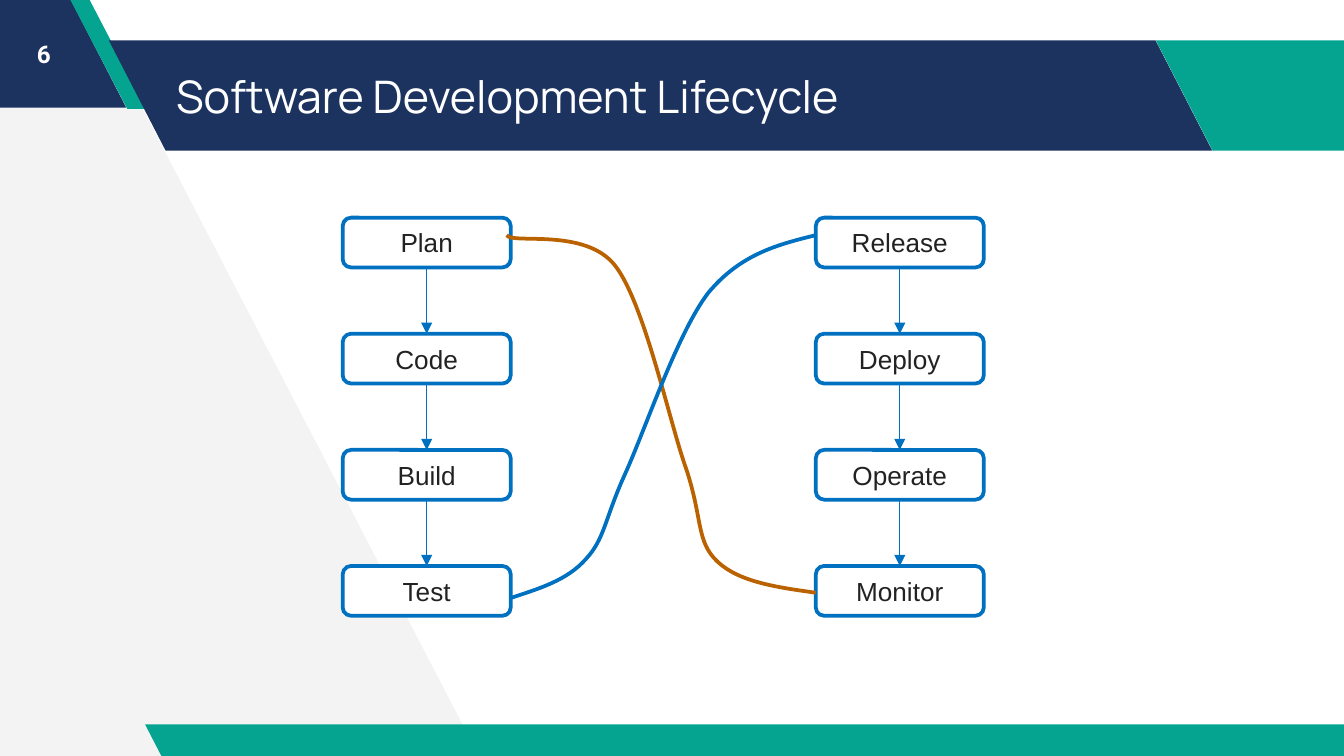
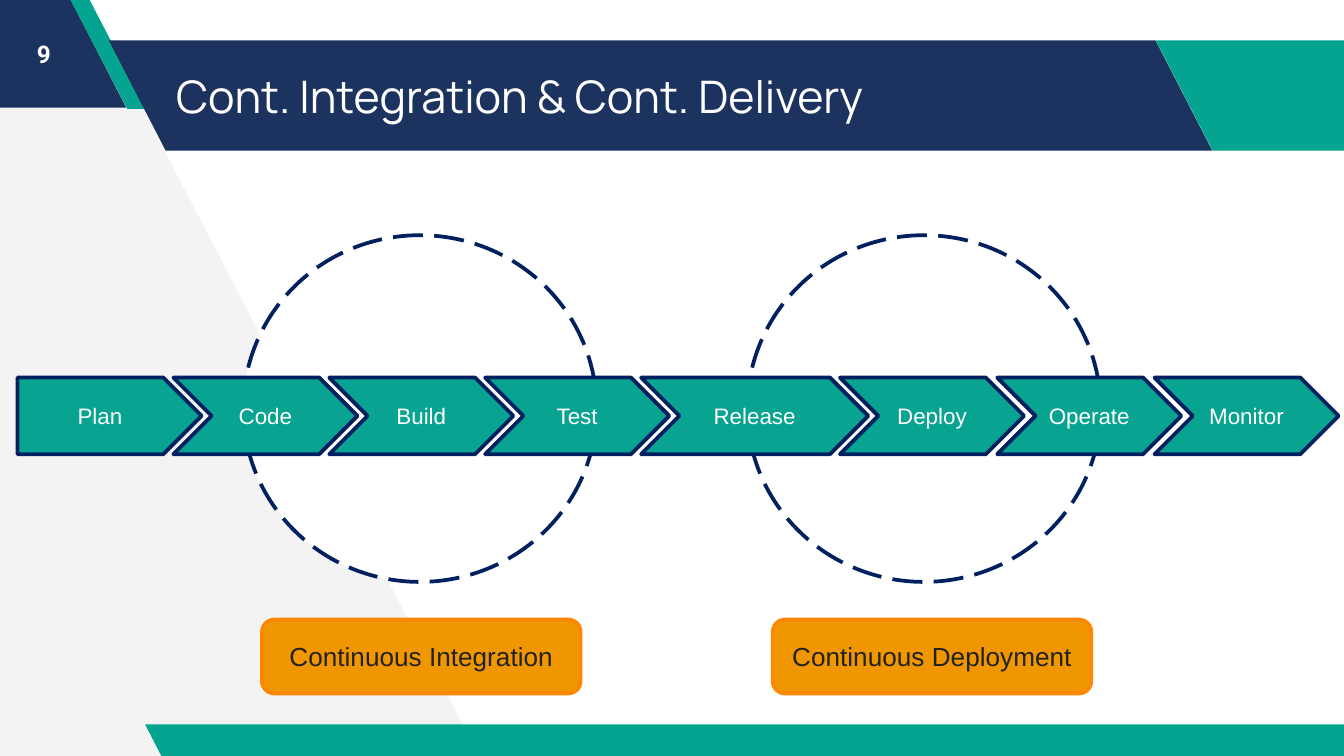
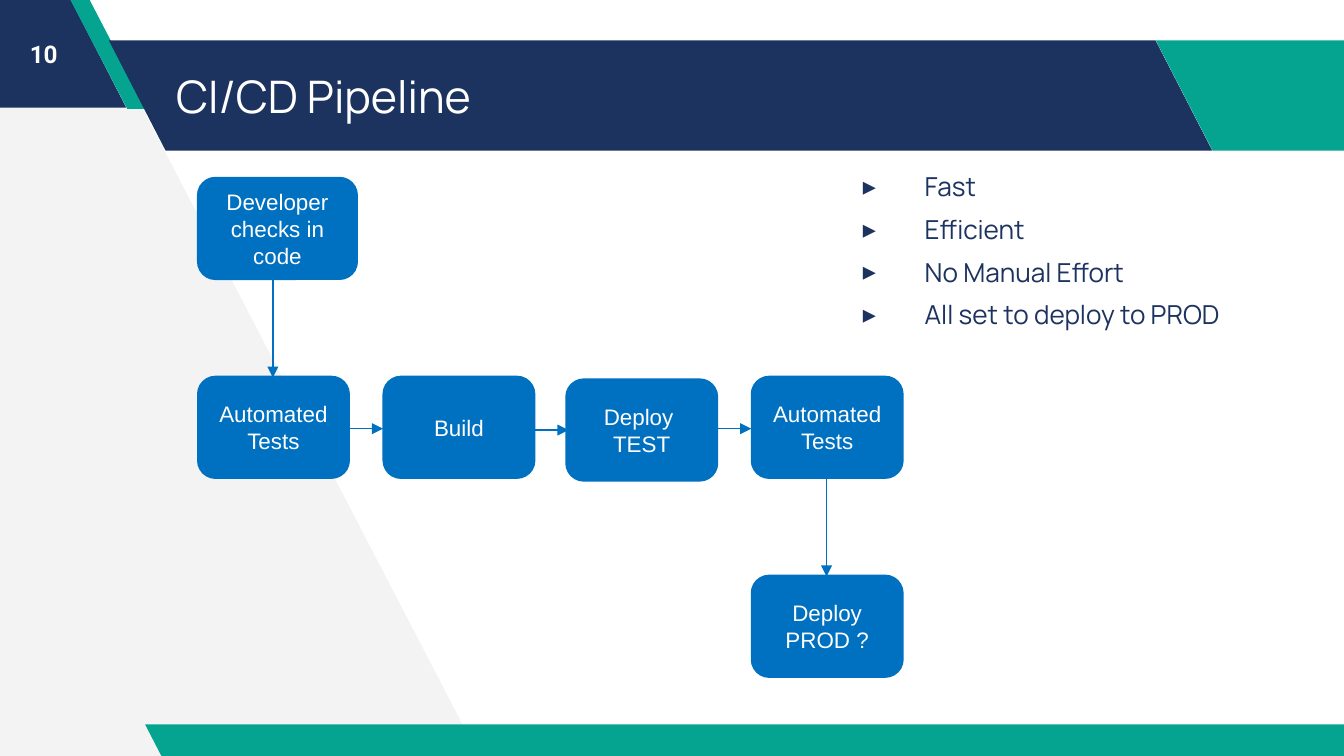
from dataclasses import dataclass
from typing import NamedTuple

from lxml.etree import SubElement
from pptx import Presentation
from pptx.dml.color import RGBColor
from pptx.enum.dml import MSO_LINE_DASH_STYLE as Dash
from pptx.enum.shapes import MSO_CONNECTOR as Connector
from pptx.enum.shapes import MSO_SHAPE as Preset
from pptx.enum.text import MSO_ANCHOR as Anchor
from pptx.enum.text import MSO_AUTO_SIZE as AutoSize
from pptx.enum.text import PP_ALIGN as Align
from pptx.oxml.ns import qn
from pptx.util import Inches, Pt


@dataclass(frozen=True)
class Theme:
    navy: RGBColor = RGBColor.from_string("1C325F")
    teal: RGBColor = RGBColor.from_string("05A491")
    stage_teal: RGBColor = RGBColor.from_string("09A491")
    outline_navy: RGBColor = RGBColor.from_string("002060")
    blue: RGBColor = RGBColor.from_string("0070C0")
    brown: RGBColor = RGBColor.from_string("BA6200")
    amber: RGBColor = RGBColor.from_string("EF9600")
    orange: RGBColor = RGBColor.from_string("FF8700")
    pale: RGBColor = RGBColor.from_string("F3F3F3")
    ink: RGBColor = RGBColor.from_string("222222")
    white: RGBColor = RGBColor.from_string("FFFFFF")
    title_font: str = "Manrope"
    number_font: str = "Roboto"
    label_font: str = "Arial"
    title_size: int = 24
    large_size: int = 14
    number_size: int = 13
    small_size: int = 12
    outline_width: float = 2
    arrow_width: float = 0.75


THEME = Theme()


class Area(NamedTuple):
    left: float
    top: float
    width: float
    height: float


class Band(NamedTuple):
    area: Area
    slant: float
    color: RGBColor


class TextStyle(NamedTuple):
    font: str
    size: int
    color: RGBColor
    bold: bool = False
    align: Align = Align.CENTER


class BoxStyle(NamedTuple):
    fill: RGBColor
    line: RGBColor
    text: TextStyle


class Arrow(NamedTuple):
    start_x: float
    start_y: float
    end_x: float
    end_y: float


TITLE_TEXT = TextStyle(THEME.title_font, THEME.title_size, THEME.white, align=Align.LEFT)
BODY_TEXT = TextStyle(THEME.title_font, THEME.large_size, THEME.navy, align=Align.LEFT)
NUMBER_TEXT = TextStyle(THEME.number_font, THEME.number_size, THEME.white, bold=True)
DARK_LABEL = TextStyle(THEME.label_font, THEME.large_size, THEME.ink)
LIGHT_LABEL = TextStyle(THEME.label_font, THEME.small_size, THEME.white)

PHASE = BoxStyle(THEME.white, THEME.blue, DARK_LABEL)
STAGE = BoxStyle(THEME.stage_teal, THEME.outline_navy, LIGHT_LABEL)
CAPTION = BoxStyle(THEME.amber, THEME.orange, DARK_LABEL)
STEP = BoxStyle(THEME.blue, THEME.blue, LIGHT_LABEL)
LOOP = BoxStyle(THEME.white, THEME.outline_navy, DARK_LABEL)

BANDS = [
    Band(Area(-0.99, -0.02, 1.93, 0.82), 0.515, THEME.navy),
    Band(Area(0.52, -0.01, 0.57, 0.82), 0.75, THEME.teal),
    Band(Area(0.81, 0.3, 8.21, 0.82), 0.515, THEME.navy),
    Band(Area(8.6, 0.3, 1.92, 0.82), 0.515, THEME.teal),
    Band(Area(1.08, 5.39, 9.15, 0.25), 0.515, THEME.teal),
]
SLIDE_WIDTH = Inches(10)
SLIDE_HEIGHT = SLIDE_WIDTH * 9 // 16
TITLE_AREA = Area(1.21, 0.3, 7.35, 0.82)
NUMBER_AREA = Area(0, 0, 0.65, 0.8)
TITLE_ONLY, TITLE_AND_BODY = 5, 1


# Shared helpers
def emu(lengths) -> list:
    return [Inches(length) for length in lengths]


def format_text(text_frame, style: TextStyle) -> None:
    for paragraph in text_frame.paragraphs:
        paragraph.alignment = style.align
        font = paragraph.font
        font.name, font.size, font.bold = style.font, Pt(style.size), style.bold
        font.color.rgb = style.color


def fit_frame(shape, area: Area, anchor: Anchor) -> None:
    shape.left, shape.top, shape.width, shape.height = emu(area)
    frame = shape.text_frame
    frame.auto_size, frame.word_wrap = AutoSize.NONE, True
    frame.vertical_anchor = anchor
    frame.margin_left = frame.margin_right = Inches(0.1)
    frame.margin_top = frame.margin_bottom = Inches(0.1)


def add_box(slide, preset: Preset, area: Area, style: BoxStyle, text: str = ""):
    shape = slide.shapes.add_shape(preset, *emu(area))
    shape.shadow.inherit = False
    shape.fill.solid()
    shape.fill.fore_color.rgb = style.fill
    shape.line.color.rgb = style.line
    shape.line.width = Pt(THEME.outline_width)
    if text:
        shape.text_frame.text = text
        shape.text_frame.word_wrap = True
        shape.text_frame.vertical_anchor = Anchor.MIDDLE
        format_text(shape.text_frame, style.text)
    return shape


def add_arrow(slide, arrow: Arrow) -> None:
    connector = slide.shapes.add_connector(Connector.STRAIGHT, *emu(arrow))
    connector.line.color.rgb = THEME.blue
    connector.line.width = Pt(THEME.arrow_width)
    line = connector.element.spPr.find(qn("a:ln"))
    SubElement(line, qn("a:tailEnd"), type="triangle")
    SubElement(connector.element.spPr, qn("a:effectLst"))


def add_outline(slide, points: list, close: bool):
    start, *others = [tuple(emu(point)) for point in points]
    builder = slide.shapes.build_freeform(*start)
    builder.add_line_segments(others, close=close)
    shape = builder.convert_to_shape()
    shape.shadow.inherit = False
    return shape


def add_curve(slide, points: list, color: RGBColor) -> None:
    """Draw a start point followed by control, control, end triples."""
    shape = add_outline(slide, points, close=False)
    shape.fill.background()
    shape.line.color.rgb = color
    shape.line.width = Pt(THEME.outline_width)
    segments = list(shape.element.iter(qn("a:lnTo")))
    for index in range(0, len(segments), 3):
        curve = SubElement(segments[index].getparent(), qn("a:cubicBezTo"))
        for segment in segments[index:index + 3]:
            curve.append(segment[0])
            segment.getparent().remove(segment)


# Backdrop, kept on the slide master
def add_backdrop(presentation, slide) -> None:
    wedge = add_outline(slide, [(3.56, 5.62), (0.62, -0.04), (-0.06, -0.04), (-0.02, 5.66)], True)
    wedge.fill.solid()
    wedge.fill.fore_color.rgb = THEME.pale
    wedge.line.fill.background()
    backdrop = [wedge]
    for band in BANDS:
        shape = add_box(slide, Preset.PARALLELOGRAM, band.area,
                        BoxStyle(band.color, band.color, LIGHT_LABEL))
        shape.line.fill.background()
        shape.adjustments[0] = band.slant
        shape.element.spPr.xfrm.set("flipH", "1")
        backdrop.append(shape)
    for shape_id, shape in enumerate(backdrop, start=20):
        shape.element.nvSpPr.cNvPr.id = shape_id
        presentation.slide_master.shapes.element.append(shape.element)


def add_titled_slide(presentation, layout: int, title: str, number: int):
    slide = presentation.slides.add_slide(presentation.slide_layouts[layout])
    slide.shapes.title.text = title
    fit_frame(slide.shapes.title, TITLE_AREA, Anchor.MIDDLE)
    format_text(slide.shapes.title.text_frame, TITLE_TEXT)
    number_box = slide.shapes.add_textbox(*emu(NUMBER_AREA))
    number_box.text_frame.text = str(number)
    fit_frame(number_box, NUMBER_AREA, Anchor.MIDDLE)
    format_text(number_box.text_frame, NUMBER_TEXT)
    return slide


# Slide: two columns of phases joined by crossing curves
def build_lifecycle(presentation):
    slide = add_titled_slide(presentation, TITLE_ONLY, "Software Development Lifecycle", 6)
    top, pitch, width, height = 1.62, 0.864, 1.25, 0.37
    columns = {2.55: ["Plan", "Code", "Build", "Test"],
               6.07: ["Release", "Deploy", "Operate", "Monitor"]}
    for left, phases in columns.items():
        center = left + width / 2
        for row, phase in enumerate(phases):
            row_top = top + row * pitch
            add_box(slide, Preset.ROUNDED_RECTANGLE, Area(left, row_top, width, height), PHASE, phase)
            if row:
                add_arrow(slide, Arrow(center, row_top - pitch + height, center, row_top))
    add_curve(slide, [(6.07, 4.41), (5.78, 4.37), (5.5, 4.33), (5.34, 4.18),
                      (5.18, 4.03), (5.23, 3.87), (5.11, 3.5),
                      (4.98, 3.14), (4.8, 2.27), (4.58, 1.98),
                      (4.36, 1.69), (3.81, 1.82), (3.77, 1.75)], THEME.brown)
    add_curve(slide, [(3.8, 4.45), (4.01, 4.38), (4.22, 4.32), (4.36, 4.16),
                      (4.5, 4.01), (4.5, 3.86), (4.65, 3.53),
                      (4.8, 3.2), (5.04, 2.48), (5.27, 2.18),
                      (5.51, 1.89), (5.79, 1.82), (6.07, 1.75)], THEME.blue)
    return slide


# Slide: a row of stages over two dashed loops
def build_integration(presentation) -> None:
    slide = add_titled_slide(presentation, TITLE_ONLY, "Cont. Integration & Cont. Delivery", 9)
    for left in (5.56, 1.81):
        loop = add_box(slide, Preset.OVAL, Area(left, 1.75, 2.63, 2.58), LOOP)
        loop.line.dash_style = Dash.LONG_DASH
    stages = ["Plan", "Code", "Build", "Test", "Release", "Deploy", "Operate", "Monitor"]
    lefts = [0.13 + 1.16 * i for i in range(5)] + [6.25 + 1.17 * i for i in range(3)]
    for stage, left in zip(stages, lefts):
        preset = Preset.PENTAGON if stage == "Plan" else Preset.CHEVRON
        width = 1.69 if stage == "Release" else 1.37
        add_box(slide, preset, Area(left, 2.81, width, 0.57), STAGE, stage)
    for left, caption in ((1.95, "Continuous Integration"), (5.75, "Continuous Deployment")):
        add_box(slide, Preset.ROUNDED_RECTANGLE, Area(left, 4.61, 2.37, 0.55), CAPTION, caption)


# Slide: pipeline steps with a list of benefits
def build_pipeline(presentation) -> None:
    slide = add_titled_slide(presentation, TITLE_AND_BODY, "CI/CD Pipeline", 10)
    width, height = 1.11, 0.74
    steps = [
        ("Developer checks in code", Area(1.48, 1.33, 1.17, height)),
        ("Automated Tests", Area(1.48, 2.81, width, height)),
        ("Build", Area(2.86, 2.81, width, height)),
        ("Deploy \nTEST", Area(4.22, 2.83, width, height)),
        ("Automated Tests", Area(5.6, 2.81, width, height)),
        ("Deploy\nPROD ?", Area(5.6, 4.29, width, height)),
    ]
    for text, area in steps:
        add_box(slide, Preset.ROUNDED_RECTANGLE, area, STEP, text)
    for left, middle in ((2.59, 3.19), (3.97, 3.2), (5.33, 3.19)):
        add_arrow(slide, Arrow(left, middle, left + 0.26, middle))
    for center, top in ((6.15, 3.56), (2.03, 2.08)):
        add_arrow(slide, Arrow(center, top, center, top + 0.73))

    body = slide.placeholders[1]
    body.text_frame.text = "Fast\nEfficient\nNo Manual Effort\nAll set to deploy to PROD"
    fit_frame(body, Area(6.28, 1.17, 3.43, 3.99), Anchor.TOP)
    for paragraph in body.text_frame.paragraphs:
        paragraph.space_before = Pt(6)
        properties = paragraph._p.get_or_add_pPr()
        properties.set("marL", str(Inches(0.5)))
        properties.set("indent", str(Inches(-0.46)))
        bullet_color = SubElement(properties, qn("a:buClr"))
        SubElement(bullet_color, qn("a:srgbClr"), val=str(THEME.navy))
        SubElement(properties, qn("a:buChar"), char="▸")
    format_text(body.text_frame, BODY_TEXT)


def main() -> None:
    presentation = Presentation()
    presentation.slide_width, presentation.slide_height = SLIDE_WIDTH, SLIDE_HEIGHT
    lifecycle = build_lifecycle(presentation)
    add_backdrop(presentation, lifecycle)
    build_integration(presentation)
    build_pipeline(presentation)
    presentation.save("out.pptx")


if __name__ == "__main__":
    main()
